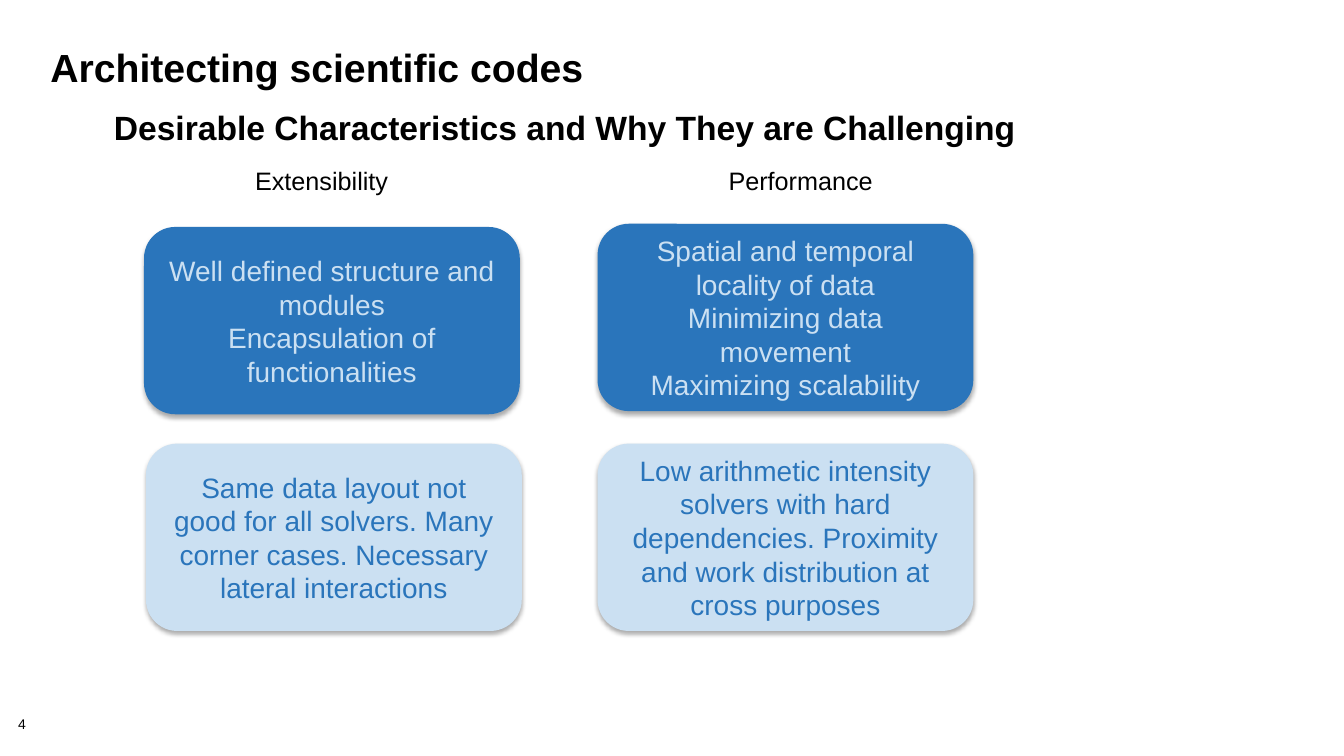
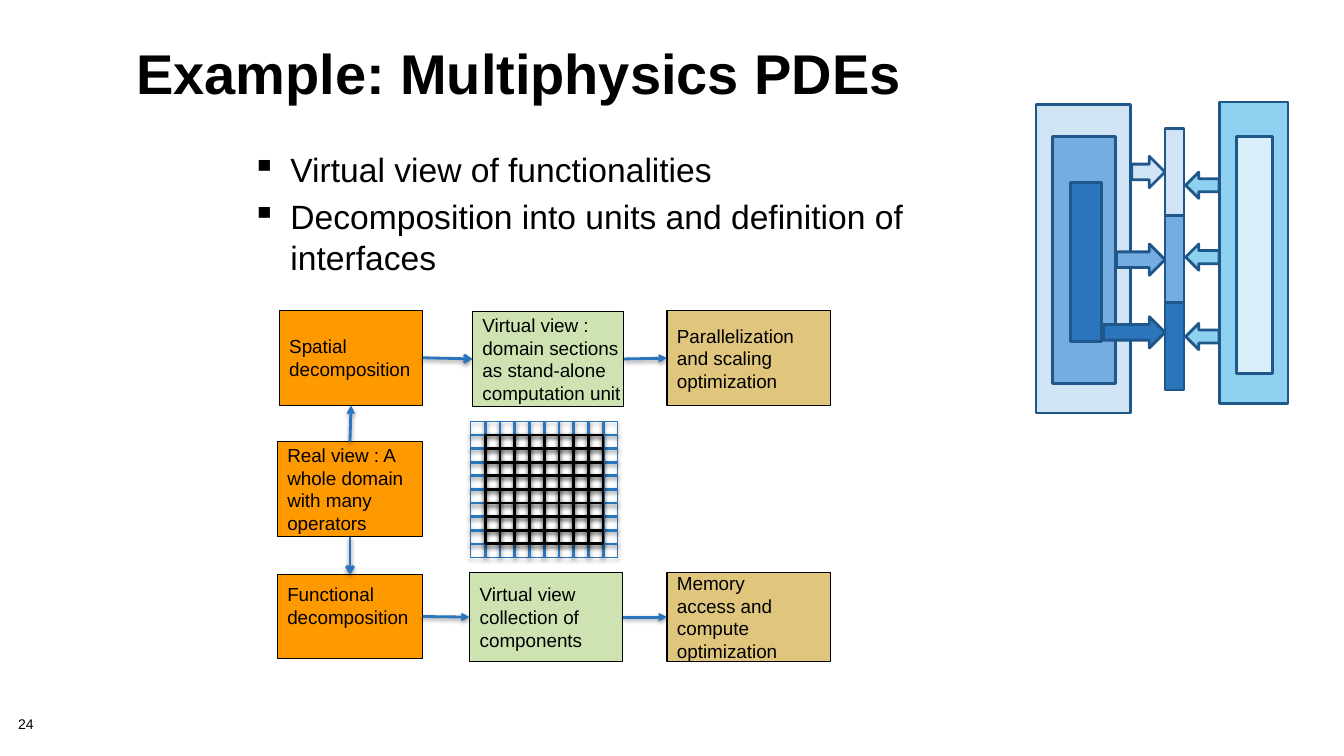
from lxml import etree
from pptx import Presentation
from pptx.dml.color import RGBColor
from pptx.enum.shapes import MSO_CONNECTOR, MSO_SHAPE
from pptx.enum.text import MSO_ANCHOR, MSO_AUTO_SIZE, PP_ALIGN
from pptx.oxml.ns import qn
from pptx.util import Cm, Pt

RECTANGLE = MSO_SHAPE.RECTANGLE
ROUNDED = MSO_SHAPE.ROUNDED_RECTANGLE
RIGHT_ARROW = MSO_SHAPE.RIGHT_ARROW
LEFT_ARROW = MSO_SHAPE.LEFT_ARROW
STRAIGHT = MSO_CONNECTOR.STRAIGHT
TOP, MIDDLE = MSO_ANCHOR.TOP, MSO_ANCHOR.MIDDLE
LEFT, CENTER = PP_ALIGN.LEFT, PP_ALIGN.CENTER
NO_AUTOFIT = MSO_AUTO_SIZE.NONE
TOP_SIDE, LEFT_SIDE, BOTTOM_SIDE, RIGHT_SIDE = range(4)

FONT = "Arial"
COLORS = {
    "black": "000000",
    "blue": "2A75BB",
    "mid_blue": "75ADE0",
    "pale_blue": "D1E4F5",
    "card_blue": "CBE0F2",
    "outline_blue": "1F578A",
    "sky": "8ED0EF",
    "pale_sky": "D9EFFA",
    "orange": "FF9900",
    "green": "CEE3B1",
    "tan": "E0C67D",
}
# Opacity in percent, blur and distance in points
CARD_SHADOW = (32, 3.5, 2.2)
GRID_SHADOW = (35, 3.1, 1.8)
LINE_SHADOW = (38, 3.1, 1.6)


def style_shape(shape, fill=None, line=None, width=0.75, shadow=None):
    """Set fill, outline and shadow of a shape, or line and shadow of a connector."""
    if fill:
        shape.fill.solid()
        shape.fill.fore_color.rgb = RGBColor.from_string(COLORS[fill])
    if line:
        shape.line.color.rgb = RGBColor.from_string(COLORS[line])
        shape.line.width = Pt(width)
    else:
        shape.line.fill.background()
    effects = etree.SubElement(shape._element.spPr, qn("a:effectLst"))
    if shadow:
        opacity, blur, distance = shadow
        outer = etree.SubElement(effects, qn("a:outerShdw"), blurRad=str(Pt(blur)),
                                 dist=str(Pt(distance)), dir="5400000", rotWithShape="0")
        color = etree.SubElement(outer, qn("a:srgbClr"), val=COLORS["black"])
        etree.SubElement(color, qn("a:alpha"), val=str(opacity * 1000))


def write_text(shape, lines, size, color="black", bold=False, align=LEFT, anchor=TOP,
               insets=(0.25, 0.13, 0.25, 0.13), spacing=None, wrap=True):
    frame = shape.text_frame
    frame.auto_size = NO_AUTOFIT
    frame.word_wrap = wrap
    frame.vertical_anchor = anchor
    (frame.margin_left, frame.margin_top,
     frame.margin_right, frame.margin_bottom) = [Cm(inset) for inset in insets]
    frame.text = "\n".join(lines)
    for paragraph in frame.paragraphs:
        paragraph.alignment = align
        paragraph.line_spacing = spacing
        paragraph.font.name = FONT
        paragraph.font.size = Pt(size)
        paragraph.font.bold = bold
        paragraph.font.color.rgb = RGBColor.from_string(COLORS[color])


presentation = Presentation()
presentation.slide_width = Cm(33.87)
presentation.slide_height = Cm(19.05)
title_only = presentation.slide_layouts[5]

# Title and slide number of every slide
slides = []
for title, place, size, number in [
    ("Architecting scientific codes", (1.02, 1.14, 31.6, 2.54), 28, "4"),
    ("Example: Multiphysics PDEs", (3.18, 1.09, 25.83, 1.93), 40, "24"),
]:
    slide = presentation.slides.add_slide(title_only)
    heading = slide.shapes.title
    heading.left, heading.top, heading.width, heading.height = [Cm(value) for value in place]
    write_text(heading, [title], size, bold=True, spacing=0.85)
    number_box = slide.shapes.add_textbox(Cm(0.46), Cm(18.08), Cm(1.42), Cm(0.41))
    write_text(number_box, [number], 10, insets=(0, 0, 0, 0), spacing=0.9)
    slides.append(slide)
characteristics, example = slides

# Slide 1: subtitle, column headings and cards
subtitle = characteristics.shapes.add_textbox(Cm(2.62), Cm(2.69), Cm(29.69), Cm(1))
write_text(subtitle, ["Desirable Characteristics and Why They are Challenging"], 24,
           bold=True, spacing=0.9)

for label, left, width in [("Extensibility", 6.1, 4.04), ("Performance", 18.03, 4.34)]:
    column_heading = characteristics.shapes.add_textbox(Cm(left), Cm(4.01), Cm(width), Cm(1.19))
    write_text(column_heading, [label], 18, anchor=MIDDLE, spacing=0.9, wrap=False,
               insets=(0.33, 0.25, 0.33, 0.25))

for left, top, fill, color, lines in [
    (3.63, 5.72, "blue", "card_blue",
     ["Well defined structure and modules", "Encapsulation of functionalities"]),
    (15.06, 5.64, "blue", "card_blue",
     ["Spatial and temporal locality of data", "Minimizing data movement",
      "Maximizing scalability"]),
    (3.68, 11.18, "card_blue", "blue",
     ["Same data layout not good for all solvers. Many corner cases. "
      "Necessary lateral interactions"]),
    (15.06, 11.18, "card_blue", "blue",
     ["Low arithmetic intensity solvers with hard dependencies. "
      "Proximity and work distribution at cross purposes"]),
]:
    card = characteristics.shapes.add_shape(ROUNDED, Cm(left), Cm(top), Cm(9.47), Cm(4.72))
    style_shape(card, fill, shadow=CARD_SHADOW)
    write_text(card, lines, 20, color, align=CENTER, anchor=MIDDLE,
               insets=(0.33, 0.18, 0.33, 0.18))

# Slide 2: bullets
bullets = example.shapes.add_textbox(Cm(6.1), Cm(3.63), Cm(20.24), Cm(3.51))
bullet_lines = ["Virtual view of functionalities",
                "Decomposition into units and definition of interfaces"]
write_text(bullets, bullet_lines, 24)
for paragraph in bullets.text_frame.paragraphs:
    properties = paragraph._p.get_or_add_pPr()
    properties.set("marL", str(Cm(0.97)))
    properties.set("indent", str(-Cm(0.97)))
    bullet = etree.Element(qn("a:buChar"), char="▪")
    properties.find(qn("a:defRPr")).addprevious(bullet)
bullets.text_frame.paragraphs[1].space_before = Pt(4.8)

# Slide 2: flow of boxes
flow = {}
for name, place, fill, lines, bottom_inset in [
    ("real", (6.99, 11.13, 3.66, 2.39), "orange",
     ["Real view : A", "whole domain", "with many", "operators"], 0),
    ("functional", (6.99, 14.48, 3.66, 2.11), "orange",
     ["Functional", "decomposition"], 0.54),
    ("spatial", (7.04, 7.82, 3.61, 2.39), "orange",
     ["Spatial", "decomposition"], 0),
    ("sections", (11.91, 7.85, 3.81, 2.39), "green",
     ["Virtual view :", "domain sections", "as stand-alone", "computation unit"], 0),
    ("components", (11.84, 14.43, 3.86, 2.24), "green",
     ["Virtual view", "collection of", "components"], 0),
    ("parallel", (16.81, 7.82, 4.11, 2.41), "tan",
     ["Parallelization", "and scaling", "optimization"], 0),
    ("memory", (16.81, 14.43, 4.11, 2.24), "tan",
     ["Memory", "access and", "compute", "optimization"], 0),
]:
    box = example.shapes.add_shape(RECTANGLE, *[Cm(value) for value in place])
    style_shape(box, fill, "black")
    write_text(box, lines, 13.5, anchor=MIDDLE, insets=(0.25, 0, 0, bottom_inset))
    flow[name] = box

for start, start_side, end, end_side, head in [
    ("spatial", RIGHT_SIDE, "sections", LEFT_SIDE, "arrow"),
    ("real", BOTTOM_SIDE, "functional", TOP_SIDE, "arrow"),
    ("sections", RIGHT_SIDE, "parallel", LEFT_SIDE, "triangle"),
    ("components", RIGHT_SIDE, "memory", LEFT_SIDE, "triangle"),
    ("real", TOP_SIDE, "spatial", BOTTOM_SIDE, "triangle"),
    ("functional", RIGHT_SIDE, "components", LEFT_SIDE, "triangle"),
]:
    arrow = example.shapes.add_connector(STRAIGHT, 0, 0, 0, 0)
    arrow.begin_connect(flow[start], start_side)
    arrow.end_connect(flow[end], end_side)
    style_shape(arrow, line="blue", width=2, shadow=LINE_SHADOW)
    etree.SubElement(arrow.line._get_or_add_ln(), qn("a:tailEnd"), type=head)

# Slide 2: domain mesh, with an inner block one cell inside the outer one
CELL_WIDTH, CELL_HEIGHT = Cm(3.71) // 10, Cm(3.43) // 10
mesh = example.shapes.add_group_shape()
for margin, cells, color, outline_width in [(0, 10, "blue", 0.75), (1, 8, "black", 2)]:
    left = Cm(11.86) + margin * CELL_WIDTH
    top = Cm(10.62) + margin * CELL_HEIGHT
    width, height = cells * CELL_WIDTH, cells * CELL_HEIGHT
    block = mesh.shapes.add_shape(RECTANGLE, left, top, width, height)
    block.fill.background()
    style_shape(block, line=color, width=outline_width, shadow=GRID_SHADOW)
    for step in range(1, cells):
        x, y = left + step * CELL_WIDTH, top + step * CELL_HEIGHT
        for ends in [(x, top, x, top + height), (left, y, left + width, y)]:
            mesh_line = mesh.shapes.add_connector(STRAIGHT, *ends)
            style_shape(mesh_line, line=color, width=2, shadow=LINE_SHADOW)

# Slide 2: nested layers feeding a shared bar from both sides
BAR_LEFT, BAR_TOP, SEGMENT_HEIGHT = 29.36, 3.23, 2.2
layer_fills = ["pale_blue", "mid_blue", "blue"]
layer_places = [(26.11, 2.64, 2.39, 7.77), (26.52, 3.45, 1.6, 6.22), (26.97, 4.6, 0.79, 4.01)]
arrow_starts = [(28.52, 3.94), (28.14, 6.15), (27.81, 7.98)]

parts = [(RECTANGLE, place, fill) for place, fill in zip(layer_places, layer_fills)]
for index, fill in enumerate(layer_fills):
    segment_top = BAR_TOP + index * SEGMENT_HEIGHT
    parts.append((RECTANGLE, (BAR_LEFT, segment_top, 0.48, SEGMENT_HEIGHT), fill))
for (left, top), fill in zip(arrow_starts, layer_fills):
    parts.append((RIGHT_ARROW, (left, top, BAR_LEFT - left, 0.79), fill))
parts.append((RECTANGLE, (30.73, 2.57, 1.73, 7.59), "sky"))
parts.append((RECTANGLE, (31.17, 3.45, 0.91, 5.97), "pale_sky"))
for top in (4.34, 6.15, 8.15):
    parts.append((LEFT_ARROW, (29.88, top, 0.84, 0.66), "sky"))

layers = example.shapes.add_group_shape()
for kind, place, fill in parts:
    part = layers.shapes.add_shape(kind, *[Cm(value) for value in place])
    style_shape(part, fill, "outline_blue", 2)

presentation.save("out.pptx")
